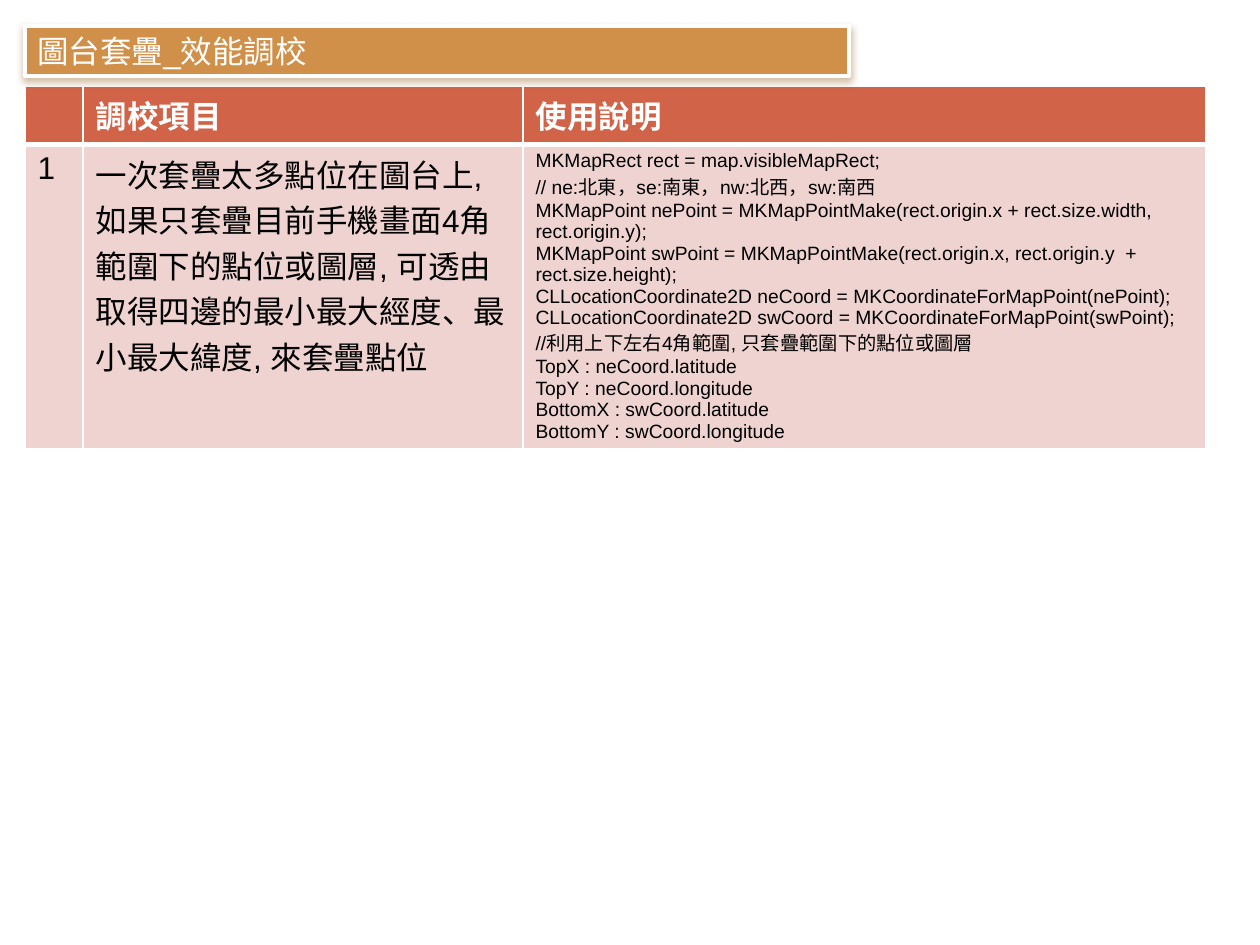
"""Build a slide about tuning map overlay performance."""
from lxml.etree import SubElement
from pptx import Presentation
from pptx.dml.color import RGBColor
from pptx.enum.shapes import MSO_SHAPE as Shape
from pptx.enum.text import MSO_ANCHOR as Anchor, MSO_AUTO_SIZE as AutoSize, PP_ALIGN as Align
from pptx.oxml import parse_xml
from pptx.oxml.ns import nsdecls, qn
from pptx.util import Pt

WHITE = RGBColor(0xFF, 0xFF, 0xFF)
BLACK = RGBColor(0x00, 0x00, 0x00)
GOLD = RGBColor(0xD1, 0x90, 0x49)
BROWN = RGBColor(0x90, 0x56, 0x17)
RED = RGBColor(0xD1, 0x63, 0x49)
PINK = RGBColor(0xEE, 0xD3, 0xD0)

FONT = "Arial"
TITLE = "圖台套疊_效能調校"
HEADER = [[""], ["調校項目"], ["使用說明"]]
ADVICE = [
    "一次套疊太多點位在圖台上,",
    "如果只套疊目前手機畫面4角",
    "範圍下的點位或圖層, 可透由",
    "取得四邊的最小最大經度、最小最大緯度, 來套疊點位",
]
CODE = [
    "MKMapRect rect = map.visibleMapRect;",
    "// ne:北東，se:南東，nw:北西，sw:南西",
    "MKMapPoint nePoint = MKMapPointMake(rect.origin.x + rect.size.width, rect.origin.y);",
    "MKMapPoint swPoint = MKMapPointMake(rect.origin.x, rect.origin.y  + rect.size.height);",
    "CLLocationCoordinate2D neCoord = MKCoordinateForMapPoint(nePoint);",
    "CLLocationCoordinate2D swCoord = MKCoordinateForMapPoint(swPoint);",
    "//利用上下左右4角範圍, 只套疊範圍下的點位或圖層",
    "TopX : neCoord.latitude",
    "TopY : neCoord.longitude",
    "BottomX : swCoord.latitude",
    "BottomY : swCoord.longitude",
]
ROWS = [
    {"cells": HEADER, "sizes": [18, 18, 18], "height": 42,
     "fill": RED, "color": WHITE, "bold": True, "bottom": 3},
    {"cells": [["1"], ADVICE, CODE], "sizes": [18, 18, 11], "height": 47,
     "fill": PINK, "color": BLACK, "bold": False, "bottom": 1},
]
COLUMNS = [58, 440, 683]
LEFT = 25
TABLE_TOP, TABLE_HEIGHT = 86, 363
BAR_TOP, BAR_WIDTH, BAR_HEIGHT = 26, 824, 50


def px(length):
    return round(length * 914400 / 126)


def write(frame, lines, size, color, bold=False):
    frame.text = "\n".join(lines)
    for para in frame.paragraphs:
        para.alignment = Align.LEFT
        para.font.size = Pt(size)
        for span in para.runs:
            span.font.name = FONT
            span.font.size = Pt(size)
            span.font.bold = bold
            span.font.color.rgb = color


def add_borders(cell, bottom):
    properties = cell._tc.get_or_add_tcPr()
    widths = {"lnL": 1, "lnR": 1, "lnT": 1, "lnB": bottom}
    for index, (side, width) in enumerate(widths.items()):
        properties.insert(index, parse_xml(
            f'<a:{side} {nsdecls("a")} w="{Pt(width)}"><a:solidFill>'
            f'<a:srgbClr val="{WHITE}"/></a:solidFill></a:{side}>'))


def add_table(page):
    holder = page.shapes.add_table(len(ROWS), len(COLUMNS), px(LEFT), px(TABLE_TOP),
                                   px(sum(COLUMNS)), px(TABLE_HEIGHT))
    table = holder.table
    for column, width in zip(table.columns, COLUMNS):
        column.width = px(width)
    for row, style in zip(table.rows, ROWS):
        row.height = px(style["height"])
        for cell, lines, size in zip(row.cells, style["cells"], style["sizes"]):
            write(cell.text_frame, lines, size, style["color"], style["bold"])
            cell.fill.solid()
            cell.fill.fore_color.rgb = style["fill"]
            add_borders(cell, style["bottom"])
    holder.height = px(TABLE_HEIGHT)


def add_title(page):
    bar = page.shapes.add_shape(Shape.RECTANGLE, px(LEFT), px(BAR_TOP),
                                px(BAR_WIDTH), px(BAR_HEIGHT))
    bar.fill.solid()
    bar.fill.fore_color.rgb = GOLD
    bar.line.color.rgb = WHITE
    bar.line.width = Pt(2.5)
    bar.shadow.inherit = False
    effects = bar._element.spPr.find(qn("a:effectLst"))
    shadow = SubElement(effects, qn("a:outerShdw"), blurRad=str(Pt(4)), dist=str(Pt(2)),
                        dir="5400000", rotWithShape="0")
    tint = SubElement(shadow, qn("a:srgbClr"), val=str(BROWN))
    SubElement(tint, qn("a:alpha"), val="38000")
    frame = bar.text_frame
    frame.word_wrap = True
    frame.auto_size = AutoSize.SHAPE_TO_FIT_TEXT
    frame.vertical_anchor = Anchor.MIDDLE
    write(frame, [TITLE], 18, WHITE)


def main():
    deck = Presentation()
    deck.slide_width, deck.slide_height = px(1260), px(945)
    page = deck.slides.add_slide(deck.slide_layouts[6])
    add_table(page)
    add_title(page)
    deck.save("out.pptx")


if __name__ == "__main__":
    main()
